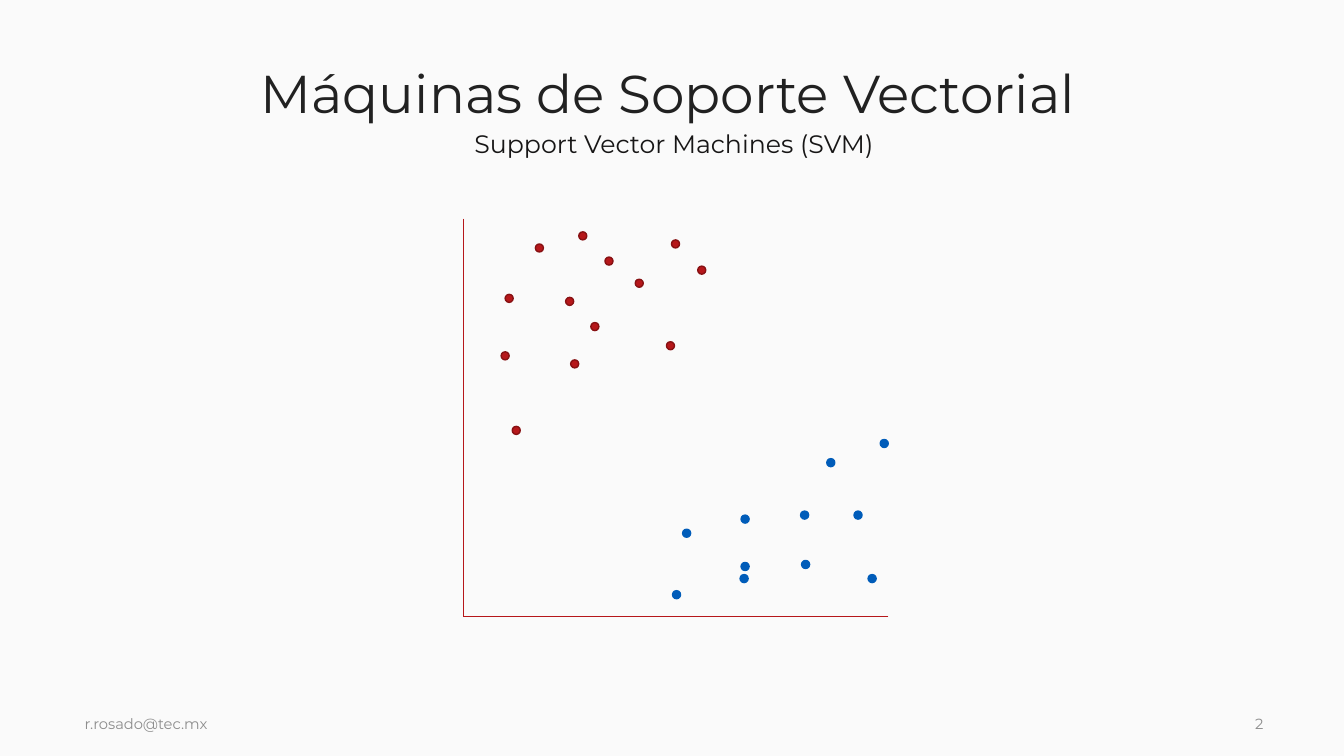
import pptx
import pptx.dml.color
import pptx.enum.shapes
import pptx.enum.text
import pptx.oxml.ns
import pptx.util
from lxml import etree

Inches, Pt = pptx.util.Inches, pptx.util.Pt
ALIGN = pptx.enum.text.PP_ALIGN
ANCHOR = pptx.enum.text.MSO_ANCHOR

FONT = "Montserrat"
COLORS = {
    "background": "FAFAFA",
    "title": "212121",
    "subtitle": "171616",
    "footer": "8D8D8D",
    "red": "B6171A",
    "dark red": "871113",
    "blue": "005CB9",
}

# text, (left, top, width, height), size, color, alignment, anchor, line spacing
LABELS = [
    ("Máquinas de Soporte Vectorial", (0.64, 0.51, 11.97, 0.89),
     38, "title", ALIGN.CENTER, ANCHOR.MIDDLE, 0.9),
    ("r.rosado@tec.mx", (0.74, 6.86, 7.66, 0.64),
     10.5, "footer", ALIGN.LEFT, ANCHOR.MIDDLE, 1.0),
    ("2", (12.35, 6.86, 0.39, 0.64),
     10.5, "footer", ALIGN.LEFT, ANCHOR.MIDDLE, 1.0),
    ("Support Vector Machines (SVM)", (0.76, 1.22, 11.85, 0.4),
     18, "subtitle", ALIGN.CENTER, ANCHOR.TOP, 1.0),
]

ORIGIN = (4.6, 6.12)
AXIS_ENDS = [(4.6, 2.17), (8.81, 6.12)]

# fill, outline, top-left corner of each dot
DOT_SIZE = 0.08
CLASSES = [
    ("red", "dark red", [
        (5.01, 2.92), (5.66, 3.57), (5.08, 4.23), (6.66, 2.38), (4.97, 3.49),
        (5.61, 2.95), (6.3, 2.77), (5.74, 2.3), (5.31, 2.42), (6.92, 2.64),
        (5.86, 3.2), (6.61, 3.39), (6, 2.55),
    ]),
    ("blue", "blue", [
        (6.77, 5.25), (8.73, 4.36), (8.2, 4.55), (7.35, 5.11), (6.67, 5.86),
        (7.34, 5.7), (8.47, 5.07), (7.94, 5.07), (8.61, 5.7), (7.95, 5.56),
        (7.35, 5.58),
    ]),
]


def color(name):
    return pptx.dml.color.RGBColor.from_string(COLORS[name])


def add_label(slide, text, box, size, color_name, align, anchor, spacing):
    label = slide.shapes.add_textbox(*map(Inches, box))
    frame = label.text_frame
    frame.word_wrap = True
    frame.vertical_anchor = anchor
    frame.text = text
    paragraph = frame.paragraphs[0]
    paragraph.alignment = align
    paragraph.line_spacing = spacing
    font = paragraph.runs[0].font
    font.name = FONT
    font.size = Pt(size)
    font.color.rgb = color(color_name)


def add_axis(group, end):
    axis = group.shapes.add_connector(
        pptx.enum.shapes.MSO_CONNECTOR.STRAIGHT, *map(Inches, end + ORIGIN))
    axis.line.color.rgb = color("red")
    axis.line.width = Pt(0.75)
    etree.SubElement(axis._element.spPr, pptx.oxml.ns.qn("a:effectLst"))


def add_dot(group, corner, fill, outline):
    dot = group.shapes.add_shape(
        pptx.enum.shapes.MSO_SHAPE.OVAL,
        *map(Inches, corner), Inches(DOT_SIZE), Inches(DOT_SIZE))
    dot.shadow.inherit = False
    dot.fill.solid()
    dot.fill.fore_color.rgb = color(fill)
    dot.line.color.rgb = color(outline)
    dot.line.width = Pt(1)


def main():
    deck = pptx.Presentation()
    deck.slide_width, deck.slide_height = Inches(13.33), Inches(7.5)
    slide = deck.slides.add_slide(deck.slide_layouts[6])
    slide.background.fill.solid()
    slide.background.fill.fore_color.rgb = color("background")

    for label in LABELS:
        add_label(slide, *label)

    scatter = slide.shapes.add_group_shape()
    for end in AXIS_ENDS:
        add_axis(scatter, end)
    for fill, outline, corners in CLASSES:
        for corner in corners:
            add_dot(scatter, corner, fill, outline)

    deck.save("out.pptx")


if __name__ == "__main__":
    main()
